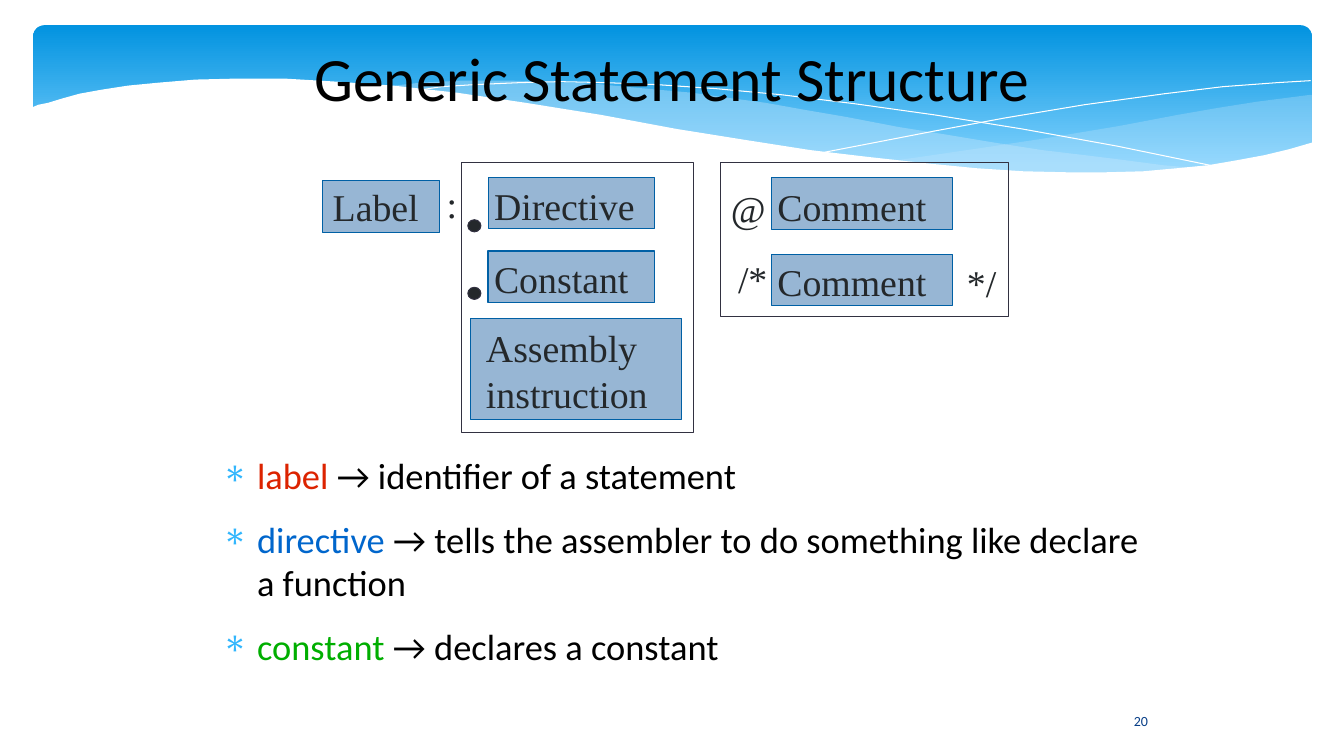
import pptx
import pptx.util
import pptx.dml.color
import pptx.enum.shapes
import pptx.enum.text
import pptx.oxml.ns
import lxml.etree

Inches = pptx.util.Inches
Pt = pptx.util.Pt
KIND = pptx.enum.shapes.MSO_SHAPE
ALIGN = pptx.enum.text.PP_ALIGN
ANCHOR = pptx.enum.text.MSO_ANCHOR
INK, BLUE, EDGE, FRAME = "24282B", "97B6D4", "0060A5", "323141"

VEILS = [
    (29, [(1300, 94), (1246, 101), (1208, 107), (1168, 114), (1110, 125),
          (1038, 137), (972, 147), (911, 156), (882, 160), (921, 164),
          (958, 167), (993, 169), (1025, 171), (1056, 172), (1099, 172),
          (1138, 170), (1174, 167), (1207, 163), (1238, 158), (1266, 152),
          (1284, 147), (1301, 142), (1301, 94)]),
    (40, [(1190, 167), (1154, 164), (1116, 159), (1076, 154), (1034, 149),
          (989, 142), (941, 134), (891, 126), (839, 116), (798, 109),
          (759, 102), (721, 97), (686, 92), (652, 89), (619, 86), (589, 83),
          (560, 82), (506, 80), (459, 80), (418, 82), (382, 86), (431, 90),
          (483, 97), (539, 106), (599, 116), (654, 126), (706, 135),
          (755, 143), (802, 150), (846, 156), (887, 161), (926, 165),
          (963, 168), (998, 170), (1030, 172), (1076, 173), (1118, 172),
          (1156, 170)])]
RAYS = [
    [(412, 90), (438, 86), (470, 84), (516, 82), (555, 81), (600, 82),
     (652, 84), (710, 88), (775, 94), (848, 103), (927, 114), (1014, 128),
     (1108, 145), (1210, 166)],
    [(818, 151), (870, 141), (927, 130), (997, 117), (1075, 104),
     (1155, 93), (1213, 86), (1267, 82), (1300, 80)]]
WAVE = [(1303, 141), (1279, 148), (1254, 154), (1227, 159), (1198, 164),
        (1167, 167), (1134, 170), (1097, 171), (1058, 171), (1015, 170),
        (969, 167), (918, 162), (863, 156), (804, 149), (740, 139),
        (671, 128), (596, 114), (521, 102), (453, 92), (390, 85), (333, 81),
        (282, 78), (235, 78), (194, 79), (158, 82), (127, 85), (101, 89),
        (79, 93), (61, 98), (48, 102), (38, 104), (31, 107), (31, 224),
        (1303, 224)]


def tint(text):
    """Turn a hex string into a colour."""
    return pptx.dml.color.RGBColor.from_string(text)


def paint(shape, fill=None, line=None):
    """Set fill and hairline, and drop the shadow."""
    shape.shadow.inherit = False
    if fill:
        shape.fill.solid()
        shape.fill.fore_color.rgb = tint(fill)
    else:
        shape.fill.background()
    if line:
        shape.line.color.rgb = tint(line)
        shape.line.width = Pt(0)
    else:
        shape.line.fill.background()


def block(slide, box, fill=None, line=None, kind=KIND.RECTANGLE):
    """Add a preset shape."""
    shape = slide.shapes.add_shape(kind, *map(Inches, box))
    paint(shape, fill, line)
    return shape


def trace(slide, left, top, dots, close, fill=None, line=None):
    """Add an outline whose dots are hundredths of an inch."""
    pen = slide.shapes.build_freeform(*dots[0], scale=Inches(0.01))
    pen.add_line_segments(dots[1:], close=close)
    shape = pen.convert_to_shape(Inches(left), Inches(top))
    paint(shape, fill, line)
    return shape


def frame(slide, box, wrap=True, anchor=ANCHOR.TOP):
    """Add a text frame without margins."""
    body = slide.shapes.add_textbox(*map(Inches, box)).text_frame
    body.word_wrap = wrap
    body.vertical_anchor = anchor
    body.margin_left = body.margin_right = 0
    body.margin_top = body.margin_bottom = 0
    return body


def style(para, size, name, color=None, align=ALIGN.LEFT):
    """Set the font and alignment of a paragraph."""
    para.alignment = align
    para.font.size = Pt(size)
    para.font.name = name
    if color:
        para.font.color.rgb = tint(color)


def banner(slide, left, top):
    """Draw the blue wave across the head of the slide."""
    back = block(slide, (left + 0.33, top + 0.25, 12.68, 1.56), BLUE,
                 kind=KIND.ROUNDED_RECTANGLE)
    back.adjustments[0] = 0.071
    back.fill.gradient()
    back.fill.gradient_angle = 270
    stops = back.fill.gradient_stops
    for stop, color, place in zip(stops, ("0293E0", "83D3FE"), (0, 0.9)):
        stop.color.rgb = tint(color)
        stop.position = place
    for alpha, dots in VEILS:
        veil = trace(slide, left, top, dots, True, "C6E7FC")
        tag = veil.fill._xPr.find(".//" + pptx.oxml.ns.qn("a:srgbClr"))
        lxml.etree.SubElement(tag, pptx.oxml.ns.qn("a:alpha"),
                              val=str(alpha * 1000))
    for dots in RAYS:
        trace(slide, left, top, dots, False, line="FFFFFF")
    trace(slide, left, top, WAVE, True, "FFFFFF")


def single(slide, box, text, size, color):
    """Write one centred line in the middle of a box."""
    body = frame(slide, box, anchor=ANCHOR.MIDDLE)
    body.text = text
    style(body.paragraphs[0], size, "Calibri", color, ALIGN.CENTER)


def syntax(slide, left, top):
    """Draw the parts of a statement."""
    for x, y, wide, high in ((1.38, 0, 2.3, 2.68), (3.95, 0, 2.85, 1.53)):
        block(slide, (left + x, top + y, wide, high), line=FRAME)
    for x, y, wide, high in (
            (0, 0.18, 1.16, 0.52), (1.65, 0.15, 1.64, 0.51),
            (1.64, 0.88, 1.65, 0.51), (1.47, 1.55, 2.09, 1),
            (4.45, 0.15, 1.8, 0.52), (4.45, 0.91, 1.8, 0.51)):
        block(slide, (left + x, top + y, wide, high), BLUE, EDGE)
    for y in (0.57, 1.24):
        block(slide, (left + 1.44, top + y, 0.13, 0.12), INK, FRAME,
              KIND.OVAL)
    for text, x, y, wide in (
            ("Label", 0.1, 0.21, 0.86), (":", 1.23, 0.18, 0.11),
            ("Directive", 1.7, 0.2, 1.41), ("Constant", 1.7, 0.93, 1.35),
            ("Assembly", 1.62, 1.61, 1.61),
            ("instruction", 1.62, 2.07, 1.62),
            ("@", 4.05, 0.23, 0.35), ("Comment", 4.51, 0.21, 1.49),
            ("/*", 4.12, 0.93, 0.3), ("Comment", 4.51, 0.96, 1.49),
            ("*/", 6.39, 0.97, 0.3)):
        body = frame(slide, (left + x, top + y, wide, 0.45), False)
        body.text = text
        style(body.paragraphs[0], 27, "Times New Roman", INK)


def terms(slide, box):
    """List the terms with their meanings."""
    body = frame(slide, box)
    rows = (("label", "DC2300", "identifier of a statement"),
            ("directive", "0066CC",
             "tells the assembler to do something like declare a function"),
            ("constant", "00AE00", "declares a constant"))
    for row, (term, color, sense) in enumerate(rows):
        para = body.add_paragraph() if row else body.paragraphs[0]
        props = para._p.get_or_add_pPr()
        props.set("marL", str(Inches(0.47)))
        props.set("indent", str(Inches(-0.35)))
        tone = lxml.etree.SubElement(props, pptx.oxml.ns.qn("a:buClr"))
        lxml.etree.SubElement(tone, pptx.oxml.ns.qn("a:srgbClr"),
                              val="31B6FD")
        lxml.etree.SubElement(props, pptx.oxml.ns.qn("a:buChar"), char="∗")
        para.space_after = Pt(14.1)
        style(para, 26, "Calibri")
        for text, hue in ((term, color), (" → " + sense, "000000")):
            run = para.add_run()
            run.text = text
            run.font.color.rgb = tint(hue)


def main():
    """Build the slide and save it."""
    deck = pptx.Presentation()
    deck.slide_width, deck.slide_height = Inches(13.33), Inches(7.5)
    slide = deck.slides.add_slide(deck.slide_layouts[6])
    banner(slide, 0, 0)
    single(slide, (11.01, 6.95, 0.61, 0.4), "20", 10, "073E87")
    single(slide, (1.92, 0.25, 9.5, 1.02), "Generic Statement Structure",
           44, "000000")
    terms(slide, (2.08, 4.5, 9.33, 2.07))
    syntax(slide, 3.2, 1.61)
    deck.save("out.pptx")


if __name__ == "__main__":
    main()
